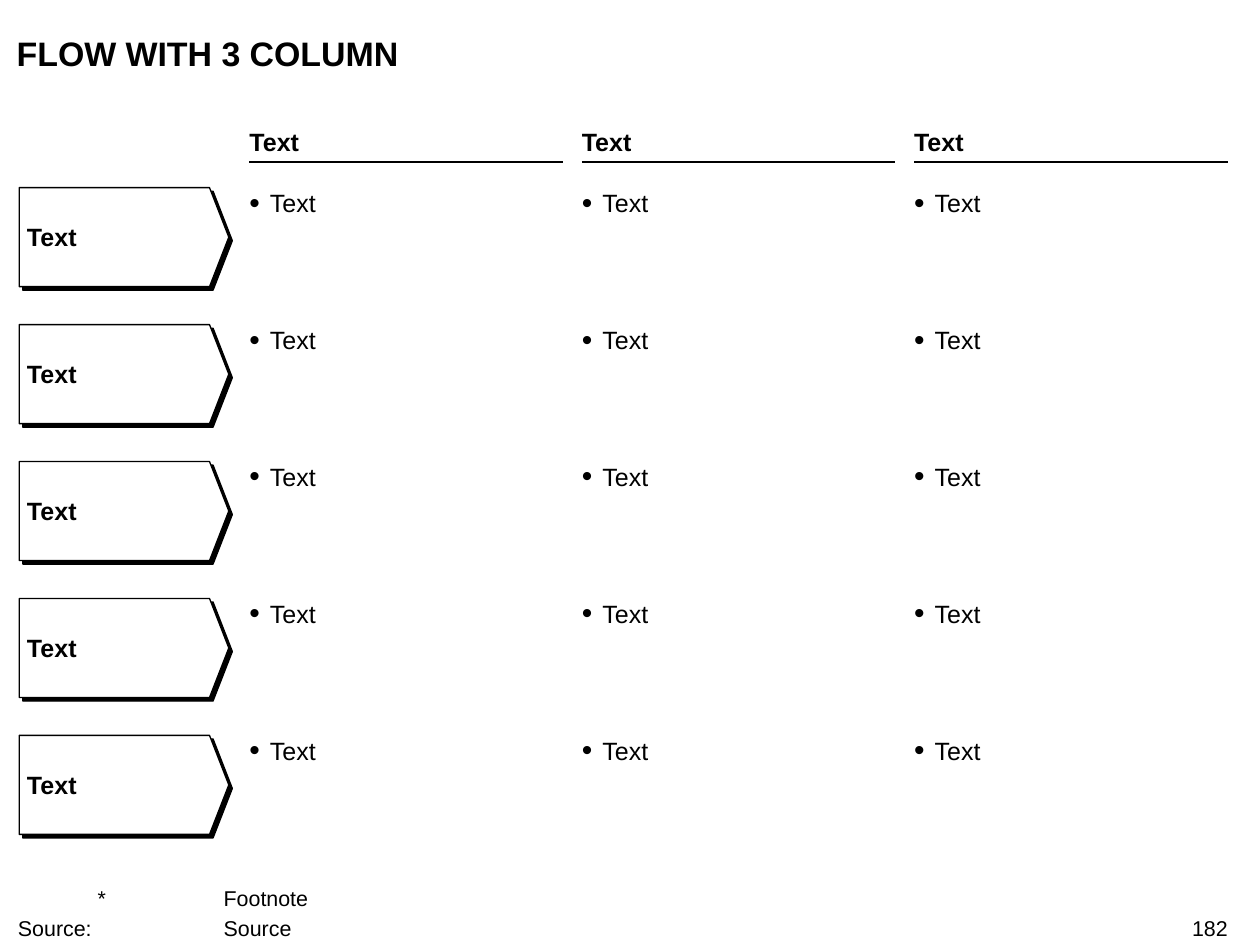
from dataclasses import dataclass

from lxml.etree import SubElement
from pptx import Presentation
from pptx.dml.color import RGBColor
from pptx.enum.shapes import MSO_CONNECTOR
from pptx.enum.text import MSO_ANCHOR, MSO_AUTO_SIZE, PP_ALIGN
from pptx.oxml.ns import qn
from pptx.util import Inches, Pt

# Content
TITLE = "FLOW WITH 3 COLUMN"
HEADINGS = ["Text", "Text", "Text"]
STEPS = [
    ("Text", ["Text", "Text", "Text"]),
    ("Text", ["Text", "Text", "Text"]),
    ("Text", ["Text", "Text", "Text"]),
    ("Text", ["Text", "Text", "Text"]),
    ("Text", ["Text", "Text", "Text"]),
]
FOOTER = ["\t*\tFootnote", "Source:\t\tSource"]
PAGE_NUMBER = "182"


@dataclass(frozen=True)
class Theme:
    font: str = "Arial"
    ink: RGBColor = RGBColor(0, 0, 0)
    paper: RGBColor = RGBColor(255, 255, 255)
    title: Pt = Pt(19)
    body: Pt = Pt(14)
    small: Pt = Pt(12)
    line: Pt = Pt(0.75)


THEME = Theme()

# Layout in inches
COLUMN_LEFT, COLUMN_RIGHT, COLUMN_WIDTH = 1.94, 9.55, 2.44
COLUMN_PITCH = (COLUMN_RIGHT - COLUMN_LEFT - COLUMN_WIDTH) / (len(HEADINGS) - 1)
FIRST_ROW, LAST_ROW = 1.46, 5.72
ROW_PITCH = (LAST_ROW - FIRST_ROW) / (len(STEPS) - 1)
HEADING_TOP, RULE_TOP, LINE_HEIGHT = 0.99, 1.26, 0.23
ARROW_LEFT, ARROW_WIDTH, ARROW_HEIGHT, ARROW_POINT = 0.15, 1.63, 0.77, 0.15
BULLET_INDENT = 0.16
FOOTER_TABS = [0.62, 1.6]


def format_frame(frame, anchor=MSO_ANCHOR.TOP):
    frame.word_wrap = True
    frame.auto_size = MSO_AUTO_SIZE.NONE
    frame.vertical_anchor = anchor
    frame.margin_left = frame.margin_right = 0
    frame.margin_top = frame.margin_bottom = 0


def format_paragraph(para, size, bold=False):
    para.font.name = THEME.font
    para.font.size = size
    para.font.bold = bold
    para.font.color.rgb = THEME.ink


def add_text(shapes, text, place, size=THEME.body, bold=False, anchor=MSO_ANCHOR.TOP):
    box = shapes.add_textbox(*map(Inches, place))
    format_frame(box.text_frame, anchor)
    para = box.text_frame.paragraphs[0]
    para.text = text
    format_paragraph(para, size, bold)
    return para


def add_bullet(shapes, text, place):
    box = shapes.add_textbox(*map(Inches, place))
    format_frame(box.text_frame)
    para = box.text_frame.paragraphs[0]
    para.text = text
    properties = para._p.get_or_add_pPr()
    properties.set("marL", str(Inches(BULLET_INDENT)))
    properties.set("indent", str(-Inches(BULLET_INDENT)))
    SubElement(properties, qn("a:buSzPct"), val="120000")
    SubElement(properties, qn("a:buFont"), typeface=THEME.font)
    SubElement(properties, qn("a:buChar"), char="•")
    format_paragraph(para, THEME.body)


def add_rule(shapes, left, top, width):
    ends = map(Inches, (left, top, left + width, top))
    rule = shapes.add_connector(MSO_CONNECTOR.STRAIGHT, *ends)
    rule.line.color.rgb = THEME.ink
    rule.line.width = THEME.line
    SubElement(rule._element.spPr, qn("a:effectLst"))


def add_step(shapes, text, top):
    group = shapes.add_group_shape()
    right, bottom = ARROW_LEFT + ARROW_WIDTH, top + ARROW_HEIGHT
    shoulder = right - ARROW_POINT
    outline = [
        (ARROW_LEFT, top),
        (shoulder, top),
        (right, top + ARROW_HEIGHT / 2),
        (shoulder, bottom),
        (ARROW_LEFT, bottom),
    ]
    points = [(Inches(x), Inches(y)) for x, y in outline]
    builder = group.shapes.build_freeform(*points[0])
    builder.add_line_segments(points[1:], close=True)
    arrow = builder.convert_to_shape()
    arrow.fill.solid()
    arrow.fill.fore_color.rgb = THEME.paper
    arrow.line.color.rgb = THEME.ink
    arrow.line.width = THEME.line
    # Hard shadow down and to the right
    arrow.shadow.inherit = False
    effects = arrow._element.spPr.find(qn("a:effectLst"))
    shadow = SubElement(effects, qn("a:outerShdw"), blurRad="0", dist=str(Pt(2.8)),
                        dir="2700000", algn="ctr", rotWithShape="0")
    SubElement(shadow, qn("a:srgbClr"), val=str(THEME.ink))
    add_text(group.shapes, text, (0.21, top + 0.05, 1.35, 0.66),
             bold=True, anchor=MSO_ANCHOR.MIDDLE)


def add_footer(shapes):
    box = shapes.add_textbox(*map(Inches, (0.14, 6.88, 8.93, 0.44)))
    frame = box.text_frame
    format_frame(frame, MSO_ANCHOR.BOTTOM)
    for index, text in enumerate(FOOTER):
        para = frame.add_paragraph() if index else frame.paragraphs[0]
        para.text = text
        tabs = SubElement(para._p.get_or_add_pPr(), qn("a:tabLst"))
        for stop in FOOTER_TABS:
            SubElement(tabs, qn("a:tab"), pos=str(Inches(stop)), algn="l")
        if index:
            para.space_before = Pt(2.8)
        format_paragraph(para, THEME.small)


def main():
    deck = Presentation()
    deck.slide_width, deck.slide_height = Inches(9.8), Inches(7.35)
    page = deck.slides.add_slide(deck.slide_layouts[5])
    shapes = page.shapes

    # Title
    title = shapes.title
    title.left, title.top, title.width, title.height = map(Inches, (0.13, 0.25, 9.43, 0.32))
    title.text_frame.text = TITLE
    format_frame(title.text_frame)
    heading = title.text_frame.paragraphs[0]
    heading.alignment = PP_ALIGN.LEFT
    format_paragraph(heading, THEME.title, bold=True)

    # Column headings
    lefts = [COLUMN_LEFT + index * COLUMN_PITCH for index in range(len(HEADINGS))]
    for left, text in zip(lefts, HEADINGS):
        add_text(shapes, text, (left, HEADING_TOP, COLUMN_WIDTH, LINE_HEIGHT),
                 bold=True, anchor=MSO_ANCHOR.BOTTOM)
        add_rule(shapes, left, RULE_TOP, COLUMN_WIDTH)

    # Steps with their bullets
    for row, (step, bullets) in enumerate(STEPS):
        top = FIRST_ROW + row * ROW_PITCH
        add_step(shapes, step, top)
        for left, text in zip(lefts, bullets):
            add_bullet(shapes, text, (left, top, COLUMN_WIDTH, LINE_HEIGHT))

    # Footer and page number
    add_footer(shapes)
    number = add_text(shapes, PAGE_NUMBER, (7.51, 7.12, 2.04, 0.2), THEME.small)
    number.alignment = PP_ALIGN.RIGHT

    deck.save("out.pptx")


if __name__ == "__main__":
    main()
